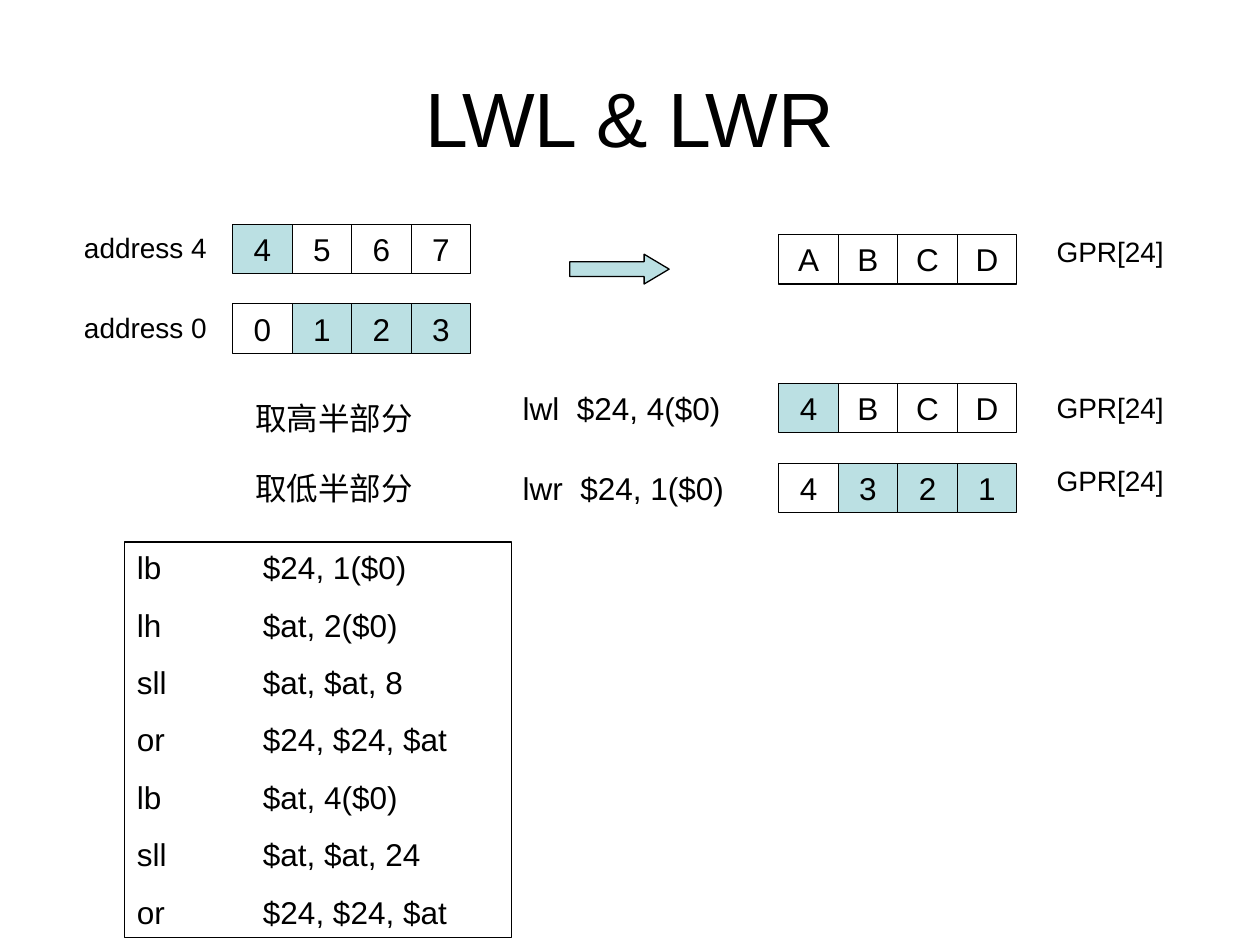
import pptx
import pptx.dml.color
import pptx.enum.shapes
import pptx.enum.text
import pptx.oxml.ns
import pptx.util
from lxml import etree

Pt = pptx.util.Pt
SHAPES = pptx.enum.shapes.MSO_SHAPE
ALIGN = pptx.enum.text.PP_ALIGN
ANCHOR = pptx.enum.text.MSO_ANCHOR
AUTO_SIZE = pptx.enum.text.MSO_AUTO_SIZE
COLORS = {"ink": "000000", "loaded": "BBE0E3"}
CELL_W, CELL_H = 34, 28.3
LABEL = {"size": 16, "before": 10, "inset": (0, 0)}
BODY = {"size": 18, "before": 11.2, "inset": (7.2, 3.6)}


def rgb(name):
    """Return the named palette colour."""
    return pptx.dml.color.RGBColor.from_string(COLORS[name])


def write(shape, lines, style, align=ALIGN.LEFT, **frame_format):
    """Fill a shape with one paragraph for each line."""
    frame = shape.text_frame
    side, end = map(Pt, style["inset"])
    values = {"margin_left": side, "margin_right": side, "margin_top": end,
              "margin_bottom": end, "word_wrap": True,
              "vertical_anchor": ANCHOR.TOP, **frame_format}
    for name, value in values.items():
        setattr(frame, name, value)
    frame.text = "\n".join(lines)
    for paragraph in frame.paragraphs:
        paragraph.alignment = align
        paragraph.space_before = Pt(style["before"])
        font = paragraph.font
        for name, value in {"name": "Arial", "size": Pt(style["size"])}.items():
            setattr(font, name, value)
        font.color.rgb = rgb("ink")


def add_outline(slide, kind, left, top, width, height, loaded=False):
    """Add a thin black outline, tinted where it holds loaded bytes."""
    shape = slide.shapes.add_shape(kind, Pt(left), Pt(top), Pt(width), Pt(height))
    shape.shadow.inherit = False
    shape.line.color.rgb = rgb("ink")
    shape.line.width = Pt(0.75)
    if loaded:
        shape.fill.solid()
        shape.fill.fore_color.rgb = rgb("loaded")
    else:
        shape.fill.background()
    return shape


def add_text(slide, text, left, top, width, height, style):
    """Add one line of free text."""
    box = slide.shapes.add_textbox(Pt(left), Pt(top), Pt(width), Pt(height))
    write(box, [text], style, auto_size=AUTO_SIZE.SHAPE_TO_FIT_TEXT)


def add_title(slide, text, left, top, width, height):
    """Place and format the title placeholder."""
    title = slide.shapes.title
    place = {"left": left, "top": top, "width": width, "height": height}
    for name, value in place.items():
        setattr(title, name, Pt(value))
    write(title, [text], {**BODY, "size": 44, "before": 0}, ALIGN.CENTER,
          vertical_anchor=ANCHOR.MIDDLE)


def add_word(slide, left, top, word, loaded, label, label_left, label_drop):
    """Draw a four-byte word as adjoining cells, with its label."""
    for column, byte in enumerate(word):
        cell = add_outline(slide, SHAPES.RECTANGLE, left + column * CELL_W, top,
                           CELL_W, CELL_H, byte in loaded)
        write(cell, [byte], {**BODY, "before": 0}, ALIGN.CENTER,
              word_wrap=False, vertical_anchor=ANCHOR.MIDDLE)
    add_text(slide, label, left + label_left, top + label_drop, 73.5, 19.4, LABEL)


def add_memory(slide, left, top):
    """Draw the two words in memory."""
    rows = [("4567", "4", "address 4"), ("0123", "123", "address 0")]
    for row, (word, loaded, label) in enumerate(rows):
        add_word(slide, left, top + row * 45.4, word, loaded, label, -85, 3.6)


def add_register(slide, left, top):
    """Draw the register before and after each load."""
    rows = [(0, "ABCD", "", 0), (85, "4BCD", "4", 4.2), (130.7, "4321", "321", 0)]
    for drop, word, loaded, label_drop in rows:
        add_word(slide, left, top + drop, word, loaded, "GPR[24]", 158.8, label_drop)


def add_loads(slide, left, top):
    """Write each load instruction beside its meaning."""
    rows = [("取高半部分", "lwl  $24, 4($0)", 0, 5.7),
            ("取低半部分", "lwr  $24, 1($0)", 45.7, 0)]
    for meaning, instruction, drop, meaning_drop in rows:
        add_text(slide, meaning, left, top + drop + meaning_drop, 113, 29, BODY)
        add_text(slide, instruction, left + 152.8, top + drop, 136, 29, BODY)


def add_arrow(slide, left, top):
    """Draw the arrow from memory to the register."""
    arrow = add_outline(slide, SHAPES.RIGHT_ARROW, left, top, 56.8, 17, True)
    arrow.adjustments[0] = 0.5
    arrow.adjustments[1] = 0.84


def add_code(slide, left, top, width, height):
    """List the equivalent instructions in two tabbed columns."""
    code = [("lb", "$24, 1($0)"), ("lh", "$at, 2($0)"), ("sll", "$at, $at, 8"),
            ("or", "$24, $24, $at"), ("lb", "$at, 4($0)"),
            ("sll", "$at, $at, 24"), ("or", "$24, $24, $at")]
    box = add_outline(slide, SHAPES.RECTANGLE, left, top, width, height)
    write(box, ["\t".join(line) for line in code], BODY,
          auto_size=AUTO_SIZE.SHAPE_TO_FIT_TEXT)
    qn = pptx.oxml.ns.qn
    for paragraph in box.text_frame.paragraphs:
        properties = paragraph._p.get_or_add_pPr()
        stops = etree.Element(qn("a:tabLst"))
        etree.SubElement(stops, qn("a:tab"), pos=str(Pt(72)), algn="l")
        properties.find(qn("a:spcBef")).addnext(stops)


def main():
    """Build the slide and save it."""
    deck = pptx.Presentation()
    deck.slide_width, deck.slide_height = Pt(720), Pt(540)
    slide = deck.slides.add_slide(deck.slide_layouts[5])
    add_title(slide, "LWL & LWR", 36, 21.6, 648, 90)
    add_memory(slide, 133, 128.2)
    add_register(slide, 445, 134)
    add_arrow(slide, 325.6, 145.3)
    add_loads(slide, 138.8, 219)
    add_code(slide, 71.2, 309.7, 221, 226)
    deck.save("out.pptx")


if __name__ == "__main__":
    main()
